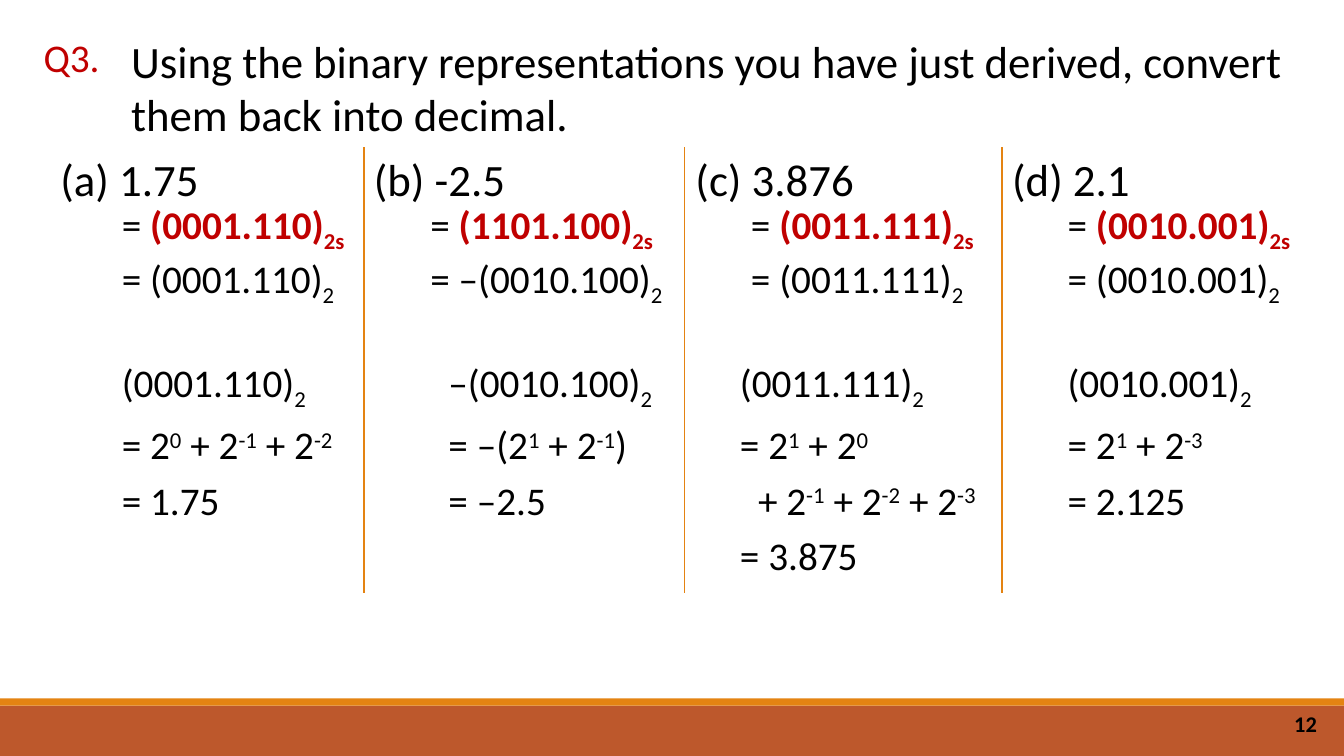
from pptx import Presentation
from pptx.dml.color import RGBColor
from pptx.enum.shapes import MSO_CONNECTOR, MSO_SHAPE
from pptx.enum.text import MSO_ANCHOR, MSO_AUTO_SIZE, PP_ALIGN
from pptx.oxml.ns import qn
from pptx.util import Inches, Pt

LEFT, CENTER, RIGHT = PP_ALIGN.LEFT, PP_ALIGN.CENTER, PP_ALIGN.RIGHT
TOP, MIDDLE = MSO_ANCHOR.TOP, MSO_ANCHOR.MIDDLE
FIXED = MSO_AUTO_SIZE.NONE
RECTANGLE, STRAIGHT = MSO_SHAPE.RECTANGLE, MSO_CONNECTOR.STRAIGHT

BLACK, RED, ORANGE, RUST = "000000", "C00000", "E48312", "BD582C"
SUB, SUP = "-25000", "30000"

# A span is plain unless it starts with one of these marks; "|" parts spans
MARKS = {
    "*": {"color": RED, "bold": True},
    "~": {"color": RED, "bold": True, "baseline": SUB},
    "_": {"baseline": SUB},
    "^": {"baseline": SUP},
}

# Per question: label, label box, two's complement box, working box, lines
QUESTIONS = [
    ("(a) 1.75", (0.5, 1.68), (1.11, 2.81), (1.11, 2.63),
     ["= |*(0001.110)|~2s", "= (0001.110)|_2"],
     ["(0001.110)|_2", "= 2|^0| + 2|^-1| + 2|^-2", "= 1.75"]),
    ("(b) -2.5", (3.61, 2.57), (4.17, 2.81), (4.35, 2.63),
     ["= |*(1101.100)|~2s", "= –(0010.100)|_2"],
     ["–(0010.100)|_2", "= –(2|^1| + 2|^-1|)", "= –2.5"]),
    ("(c) 3.876", (6.8, 2.57), (7.35, 2.81), (7.24, 2.81),
     ["= |*(0011.111)|~2s", "= (0011.111)|_2"],
     ["(0011.111)|_2", "= 2|^1| + 2|^0",
      "+ 2|^-1| + 2|^-2| + 2|^-3", "= 3.875"]),
    ("(d) 2.1", (9.94, 1.68), (10.49, 2.62), (10.49, 2.41),
     ["= |*(0010.001)|~2s", "= (0010.001)|_2"],
     ["(0010.001)|_2", "= 2|^1| + 2|^-3", "= 2.125"]),
]
DIVIDERS = (3.61, 6.79, 9.94)


def rgb(value):
    return RGBColor.from_string(value)


def place(shape, box):
    for name, value in zip(("left", "top", "width", "height"), box):
        setattr(shape, name, Inches(value))


def add_span(para, text, size, color=BLACK, bold=False, baseline=None):
    span = para.add_run()
    span.text = text
    for name, value in {"name": "Calibri", "size": Pt(size), "bold": bold}.items():
        setattr(span.font, name, value)
    span.font.color.rgb = rgb(color)
    if baseline:
        span.font._element.set("baseline", baseline)


def fill_text(shape, lines, size, color=BLACK, bold=False,
              align=LEFT, anchor=TOP, after=0):
    frame = shape.text_frame
    settings = {"word_wrap": True, "auto_size": FIXED, "vertical_anchor": anchor}
    for name, value in settings.items():
        setattr(frame, name, value)
    for index, line in enumerate(lines):
        para = frame.add_paragraph() if index else frame.paragraphs[0]
        para.alignment, para.space_after = align, Pt(after)
        if line.startswith("+"):  # a continued sum lines up after the "="
            para._p.get_or_add_pPr().set("marL", str(Inches(0.18)))
        for part in line.split("|"):
            style = {"color": color, "bold": bold}
            if part[0] in MARKS:
                style.update(MARKS[part[0]])
                part = part[1:]
            add_span(para, part, size, **style)


def add_text(page, box, lines, size, **style):
    shape = page.shapes.add_textbox(*map(Inches, box))
    fill_text(shape, lines, size, **style)


def add_footer(page, box):
    left, top, width, height = box
    stripe = 0.07
    bands = (((left, top + stripe, width, height - stripe), RUST),
             ((left, top, width, stripe), ORANGE))
    for band_box, color in bands:
        band = page.shapes.add_shape(RECTANGLE, *map(Inches, band_box))
        band.shadow.inherit = False
        band.fill.solid()
        band.fill.fore_color.rgb = rgb(color)
        band.line.fill.background()
    add_text(page, (left + width - 3.17, top + 0.05, 3, 0.4), ["12"], 16,
             bold=True, align=RIGHT, anchor=MIDDLE)


def add_heading(page, box):
    left, top, width, height = box
    number_width = 0.98
    add_text(page, (left, top, number_width, 0.57), ["Q3."], 28,
             color=RED, align=CENTER)
    title = page.shapes.title
    place(title, (left + number_width, top, width - number_width, height))
    fill_text(title, ["Using the binary representations you have just derived, "
                      "convert them back into decimal."], 32)


def add_question(page, top, question):
    label, label_box, complement_box, working_box, complement, working = question
    parts = ((label_box, 0, [label], 32, 0),
             (complement_box, 0.48, complement, 28, 0),
             (working_box, 2.05, working, 28, 6))
    for (left, width), drop, lines, size, after in parts:
        height = 0.1 + len(lines) * (size / 60 + after / 72)
        add_text(page, (left, top + drop, width, height), lines, size, after=after)


def add_divider(page, left, top, height):
    line = page.shapes.add_connector(
        STRAIGHT, *map(Inches, (left, top, left, top + height)))
    line.line.color.rgb = rgb(ORANGE)
    line.line.width = Pt(1)
    properties = line._element.spPr
    properties.append(properties.makeelement(qn("a:effectLst"), {}))


deck = Presentation()
deck.slide_width, deck.slide_height = Inches(13.33), Inches(7.5)
page = deck.slides.add_slide(deck.slide_layouts[5])

add_footer(page, (0, 6.93, 13.33, 0.57))
add_heading(page, (0.22, 0.28, 12.9, 1.18))
for question in QUESTIONS:
    add_question(page, 1.46, question)
for divider in DIVIDERS:
    add_divider(page, divider, 1.46, 4.42)

deck.save("out.pptx")
